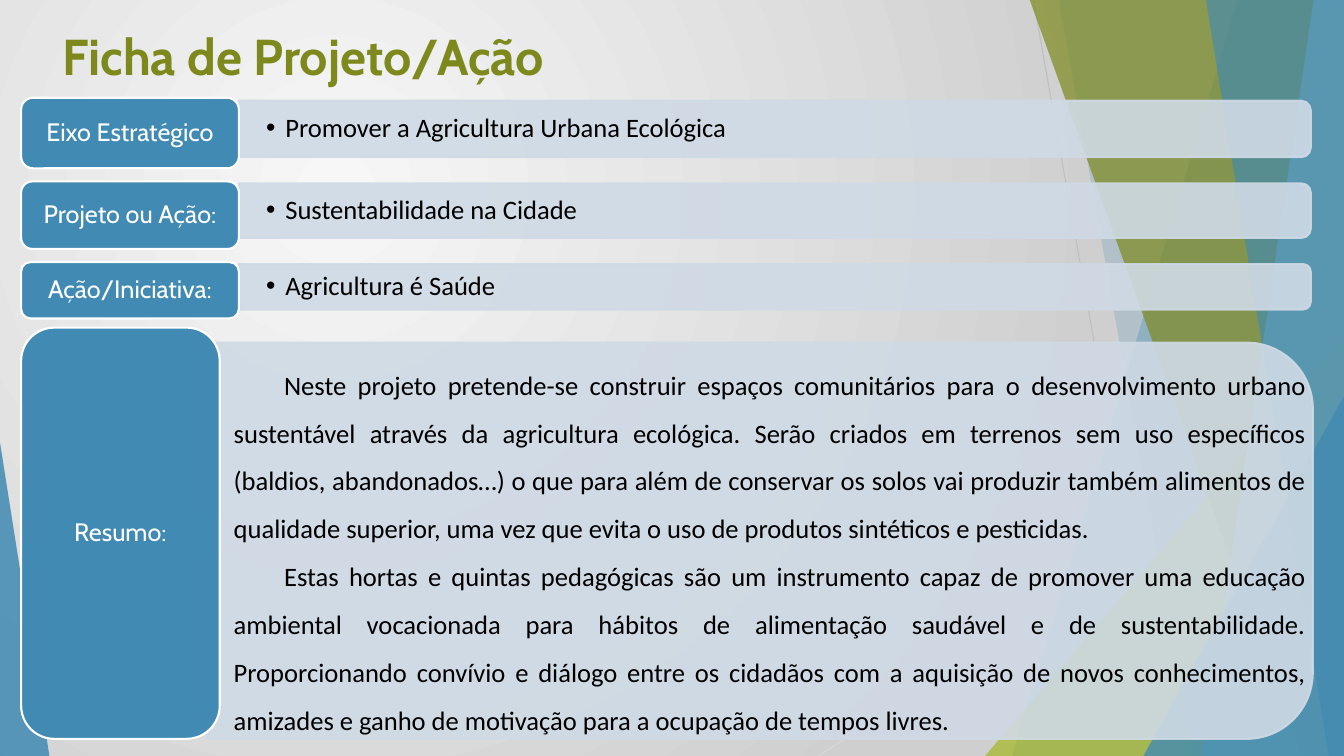
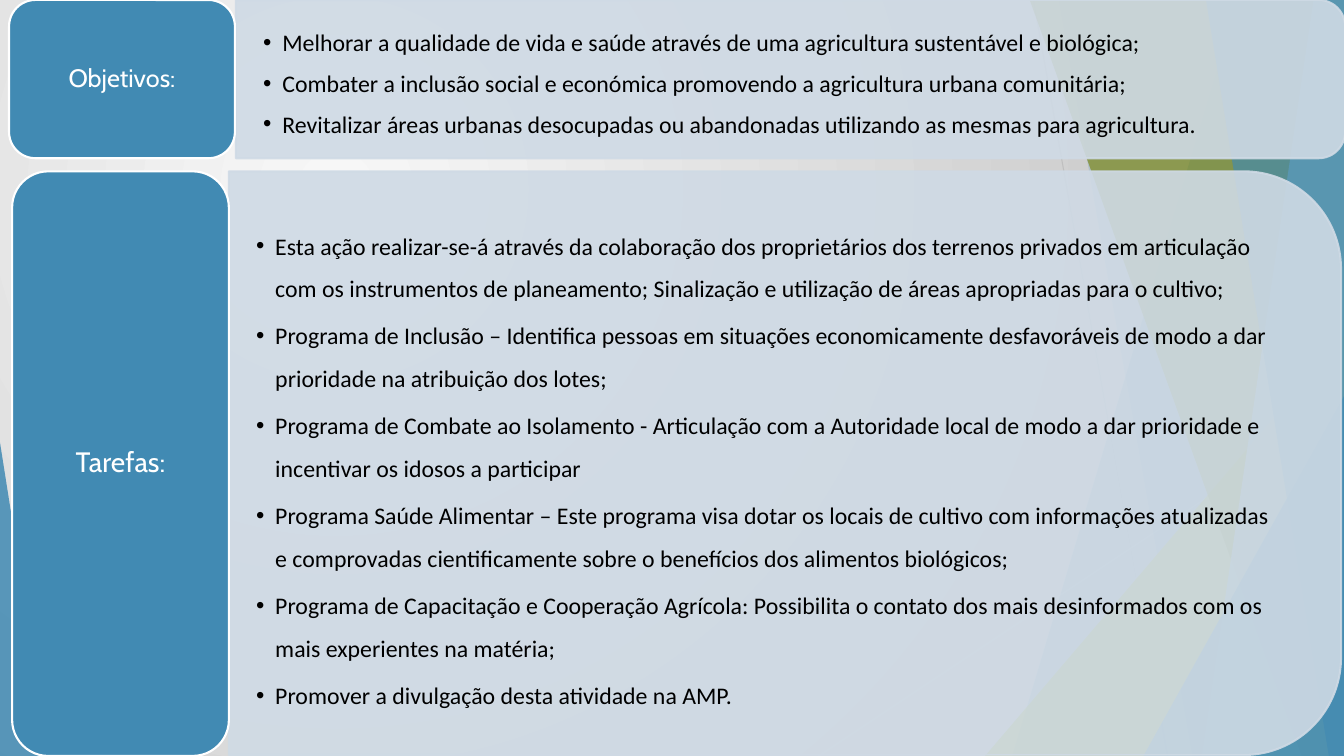
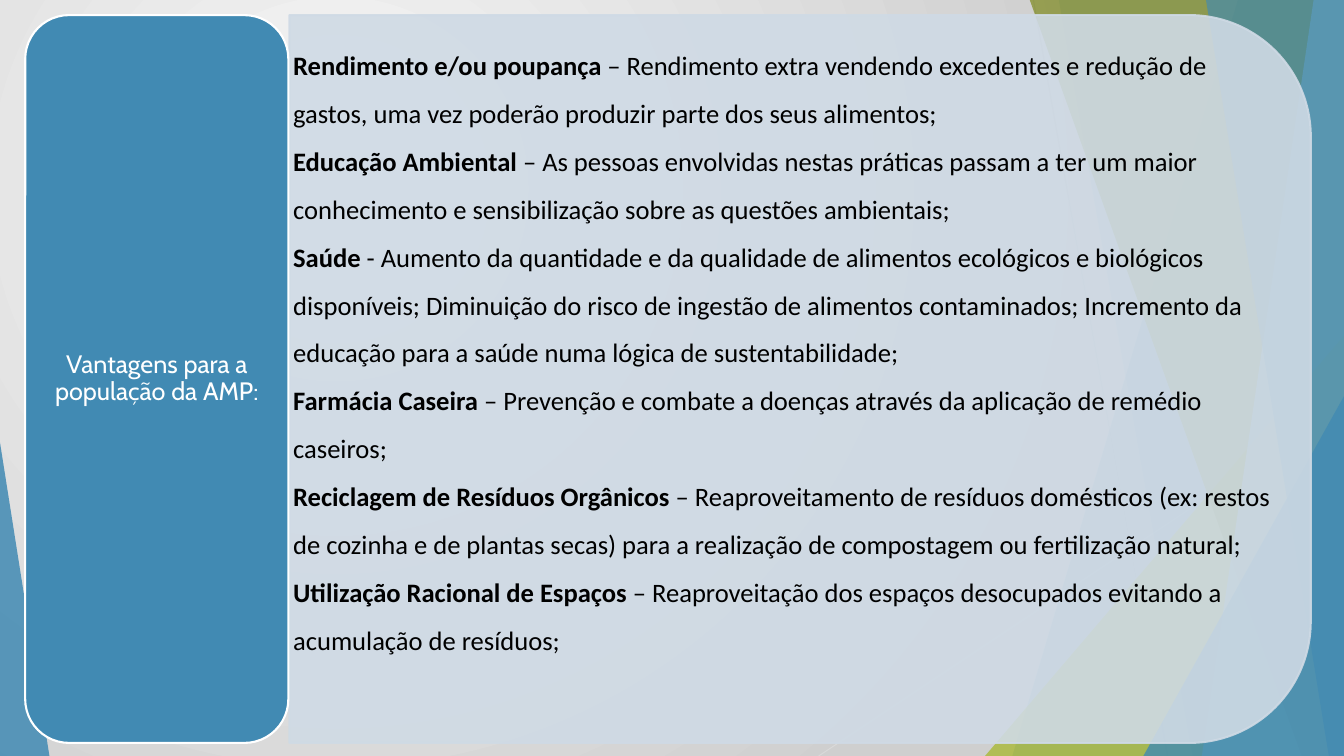
from lxml.etree import SubElement
from pptx import Presentation
from pptx.dml.color import RGBColor
from pptx.enum.shapes import MSO_CONNECTOR as Connector, MSO_SHAPE as Shape
from pptx.enum.text import MSO_ANCHOR as Anchor, PP_ALIGN as Align
from pptx.oxml.ns import qn
from pptx.util import Pt

PX = 9144
WIDTH, HEIGHT = 1333, 750

BLUE = RGBColor(0x41, 0x8A, 0xB3)
SKY = RGBColor(0x8A, 0xBA, 0xD4)
LIME = RGBColor(0xA6, 0xB7, 0x27)
OLIVE = RGBColor(0x7D, 0x89, 0x1D)
PALE = RGBColor(0xCF, 0xDA, 0xE5)
WHITE = RGBColor(0xFF, 0xFF, 0xFF)
BLACK = RGBColor(0x00, 0x00, 0x00)
CENTRE_GREY = RGBColor(0xF7, 0xF7, 0xF7)
EDGE_GREY = RGBColor(0xCF, 0xCF, 0xCF)
RAY_GREY = RGBColor(0xBF, 0xBF, 0xBF)
SOFT_GREY = RGBColor(0xD9, 0xD9, 0xD9)

HEADING = "Cabin"
BODY = "Calibri"
CORNER_INSET = 0.05

RAYS = [((1025, 0), (1158, 750), RAY_GREY), ((1333, 403), (812, 750), SOFT_GREY)]
FACETS = [
    ([(1228, -1), (1333, -1), (1333, 750), (1004, 750)], BLUE, 30),
    ([(1050, -1), (1333, -1), (1333, 750), (1183, 750)], BLUE, 20),
    ([(1333, 333), (1333, 750), (977, 750)], LIME, 72),
    ([(1021, -1), (1333, -1), (1333, 750), (1291, 750)], OLIVE, 70),
    ([(1303, -1), (1333, -1), (1333, 750), (1192, 750)], SKY, 70),
    ([(1196, -1), (1333, -1), (1333, 750), (1318, 750)], BLUE, 65),
    ([(1333, 393), (1333, 750), (1134, 750)], BLUE, 80),
    ([(0, 439), (49, 750), (0, 750)], BLUE, 85),
]

IDENTITY = [
    ("Eixo Estratégico", "Promover a Agricultura Urbana Ecológica", (97, 70), (100, 56)),
    ("Projeto ou Ação:", "Sustentabilidade na Cidade", (180, 67), (182, 54)),
    ("Ação/Iniciativa:", "Agricultura é Saúde", (260, 56), (262, 45)),
]
SUMMARY = [
    "Neste projeto pretende-se construir espaços comunitários para o desenvolvimento urbano "
    "sustentável através da agricultura ecológica. Serão criados em terrenos sem uso específicos "
    "(baldios, abandonados…) o que para além de conservar os solos vai produzir também alimentos "
    "de qualidade superior, uma vez que evita o uso de produtos sintéticos e pesticidas.",
    "Estas hortas e quintas pedagógicas são um instrumento capaz de promover uma educação "
    "ambiental vocacionada para hábitos de alimentação saudável e de sustentabilidade. "
    "Proporcionando convívio e diálogo entre os cidadãos com a aquisição de novos conhecimentos, "
    "amizades e ganho de motivação para a ocupação de tempos livres.",
]
GOALS = [
    "Melhorar a qualidade de vida e saúde através de uma agricultura sustentável e biológica;",
    "Combater a inclusão social e económica promovendo a agricultura urbana comunitária;",
    "Revitalizar áreas urbanas desocupadas ou abandonadas utilizando as mesmas para agricultura.",
]
TASKS = [
    "Esta ação realizar-se-á através da colaboração dos proprietários dos terrenos privados em "
    "articulação com os instrumentos de planeamento; Sinalização e utilização de áreas "
    "apropriadas para o cultivo;",
    "Programa de Inclusão – Identifica pessoas em situações economicamente desfavoráveis de modo "
    "a dar prioridade na atribuição dos lotes;",
    "Programa de Combate ao Isolamento - Articulação com a Autoridade local de modo a dar "
    "prioridade e incentivar os idosos a participar",
    "Programa Saúde Alimentar – Este programa visa dotar os locais de cultivo com informações "
    "atualizadas e comprovadas cientificamente sobre o benefícios dos alimentos biológicos;",
    "Programa de Capacitação e Cooperação Agrícola: Possibilita o contato dos mais desinformados "
    "com os mais experientes na matéria;",
    "Promover a divulgação desta atividade na AMP.",
]
BENEFITS = [
    ("Rendimento e/ou poupança ", "– Rendimento extra vendendo excedentes e redução de gastos, "
     "uma vez poderão produzir parte dos seus alimentos;"),
    ("Educação Ambiental ", "– As pessoas envolvidas nestas práticas passam a ter um maior "
     "conhecimento e sensibilização sobre as questões ambientais;"),
    ("Saúde ", "- Aumento da quantidade e da qualidade de alimentos ecológicos e biológicos "
     "disponíveis; Diminuição do risco de ingestão de alimentos contaminados; Incremento da "
     "educação para a saúde numa lógica de sustentabilidade;"),
    ("Farmácia Caseira ", "– Prevenção e combate a doenças através da aplicação de remédio "
     "caseiros;"),
    ("Reciclagem de Resíduos Orgânicos ", "– Reaproveitamento de resíduos domésticos (ex: restos "
     "de cozinha e de plantas secas) para a realização de compostagem ou fertilização natural;"),
    ("Utilização Racional de Espaços ", "– Reaproveitação dos espaços desocupados evitando a "
     "acumulação de resíduos;"),
]


def emu(*lengths):
    return [round(length * PX) for length in lengths]


class Deck:
    def __init__(self):
        self.presentation = Presentation()
        self.presentation.slide_width, self.presentation.slide_height = emu(WIDTH, HEIGHT)
        self.layout = self.presentation.slide_layouts[6]
        self.paint_background()

    def paint_background(self):
        master = self.presentation.slide_master
        fill = master.background.fill
        fill.gradient()
        for stop, color in zip(fill.gradient_stops, (CENTRE_GREY, EDGE_GREY)):
            stop.color.rgb = color
        gradient = master.element.find(".//" + qn("a:gradFill"))
        gradient.remove(gradient.find(qn("a:lin")))
        circle = SubElement(gradient, qn("a:path"), {"path": "circle"})
        SubElement(circle, qn("a:fillToRect"),
                   {"l": "50000", "t": "50000", "r": "100000", "b": "100000"})

    def new_slide(self):
        self.slide = self.presentation.slides.add_slide(self.layout)
        self.shapes = self.slide.shapes
        for start, end, color in RAYS:
            self.ray(start, end, color)
        for corners, color, opacity in FACETS:
            self.facet(corners, color, opacity)

    def ray(self, start, end, color):
        ray = self.shapes.add_connector(Connector.STRAIGHT, *emu(*start, *end))
        ray.line.color.rgb = color
        ray.line.width = Pt(0.75)
        SubElement(ray.element.spPr, qn("a:effectLst"))

    def facet(self, corners, color, opacity):
        builder = self.shapes.build_freeform(*corners[0], scale=PX)
        builder.add_line_segments(corners[1:], close=True)
        self.paint(builder.convert_to_shape(), color, None, opacity)

    def paint(self, shape, color, outline, opacity=100):
        shape.shadow.inherit = False
        shape.fill.solid()
        shape.fill.fore_color.rgb = color
        if outline is None:
            shape.line.fill.background()
        else:
            shape.line.color.rgb = outline
            shape.line.width = Pt(1.5)
        if opacity < 100:
            for tint in shape.element.spPr.iter(qn("a:srgbClr")):
                SubElement(tint, qn("a:alpha"), {"val": str(opacity * 1000)})

    def put_text(self, shape, paragraphs, size, font=BODY, color=BLACK, bold=None,
                 align=Align.LEFT, anchor=Anchor.TOP, margins=(10, 5), spacing=1.5,
                 first_indent=0, bullet=False):
        frame = shape.text_frame
        frame.word_wrap = True
        frame.vertical_anchor = anchor
        frame.margin_left, frame.margin_top = emu(*margins)
        frame.margin_right, frame.margin_bottom = emu(*margins)
        for index, content in enumerate(paragraphs):
            paragraph = frame.add_paragraph() if index else frame.paragraphs[0]
            if isinstance(content, tuple):
                for part, weight in zip(content, (True, False)):
                    run = paragraph.add_run()
                    run.text = part
                    run.font.bold = weight
            else:
                paragraph.text = content
                paragraph.runs[0].font.bold = bold
            paragraph.alignment = align
            paragraph.line_spacing = spacing
            for run in paragraph.runs:
                run.font.size = Pt(size)
                run.font.name = font
                run.font.color.rgb = color
            properties = paragraph._p.get_or_add_pPr()
            if first_indent:
                properties.set("indent", str(first_indent * PX))
            if bullet:
                paragraph.space_after = Pt(3)
                properties.set("marL", str(19 * PX))
                properties.set("indent", str(-19 * PX))
                SubElement(properties, qn("a:buFont"), {"typeface": "Arial"})
                SubElement(properties, qn("a:buChar"), {"char": "•"})

    def title(self, text):
        heading = self.shapes.add_textbox(*emu(52, 20, 1083, 83))
        self.put_text(heading, [text], 36, HEADING, OLIVE, bold=True, spacing=1.0)

    def label(self, text, left, top, width, height, size=18):
        label = self.shapes.add_shape(Shape.ROUNDED_RECTANGLE, *emu(left, top, width, height))
        self.paint(label, BLUE, WHITE)
        self.put_text(label, [text], size, HEADING, WHITE, align=Align.CENTER,
                      anchor=Anchor.MIDDLE, margins=(7, 4), spacing=0.9)

    def panel(self, left, top, width, height):
        shift = (width - height) / 2
        panel = self.shapes.add_shape(Shape.ROUND_2_SAME_RECTANGLE,
                                      *emu(left + shift, top - shift, height, width))
        panel.rotation = 90
        self.paint(panel, PALE, PALE, 90)

    def bullet_panel(self, items, left, top, width, height, size, spacing):
        self.panel(left, top, width, height)
        inset = round(height * CORNER_INSET)
        items_box = self.shapes.add_textbox(
            *emu(left, top + inset, width - inset, height - 2 * inset))
        self.put_text(items_box, items, size, anchor=Anchor.MIDDLE, margins=(27, 14),
                      spacing=spacing, bullet=True)

    def prose(self, paragraphs, left, top, width, height, **style):
        prose = self.shapes.add_textbox(*emu(left, top, width, height))
        self.put_text(prose, paragraphs, 19, **style)


def main():
    deck = Deck()

    deck.new_slide()
    deck.title("Ficha de Projeto/Ação")
    for name, value, (label_top, label_height), (panel_top, panel_height) in IDENTITY:
        deck.bullet_panel([value], 237, panel_top, 1063, panel_height, 19, 0.9)
        deck.label(name, 21, label_top, 216, label_height)
    deck.panel(204, 340, 1098, 393)
    deck.label("Resumo:", 21, 325, 197, 408)
    deck.prose(SUMMARY, 222, 345, 1083, 389, align=Align.JUSTIFY, first_indent=50)

    deck.new_slide()
    deck.bullet_panel(TASKS, 227, 170, 1103, 579, 17, 1.5)
    deck.label("Tarefas:", 12, 170, 215, 580, 20)
    deck.bullet_panel(GOALS, 234, 0, 1100, 157, 17, Pt(26))
    deck.label("Objetivos:", 9, 0, 224, 157)

    deck.new_slide()
    deck.panel(287, 15, 1013, 722)
    deck.label("Vantagens para a população da AMP:", 25, 15, 261, 722)
    deck.prose(BENEFITS, 281, 28, 990, 712)

    deck.presentation.save("out.pptx")


if __name__ == "__main__":
    main()
